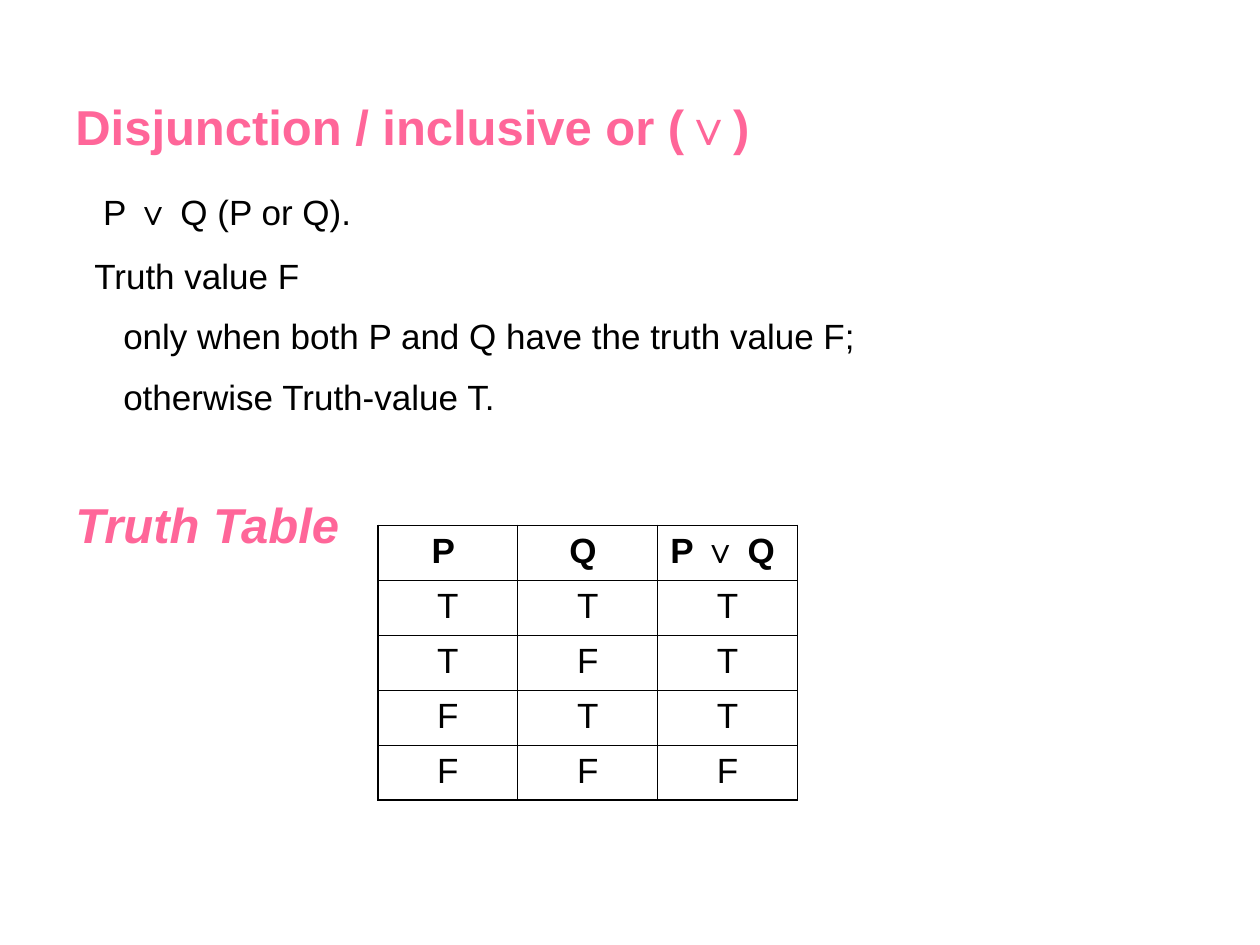
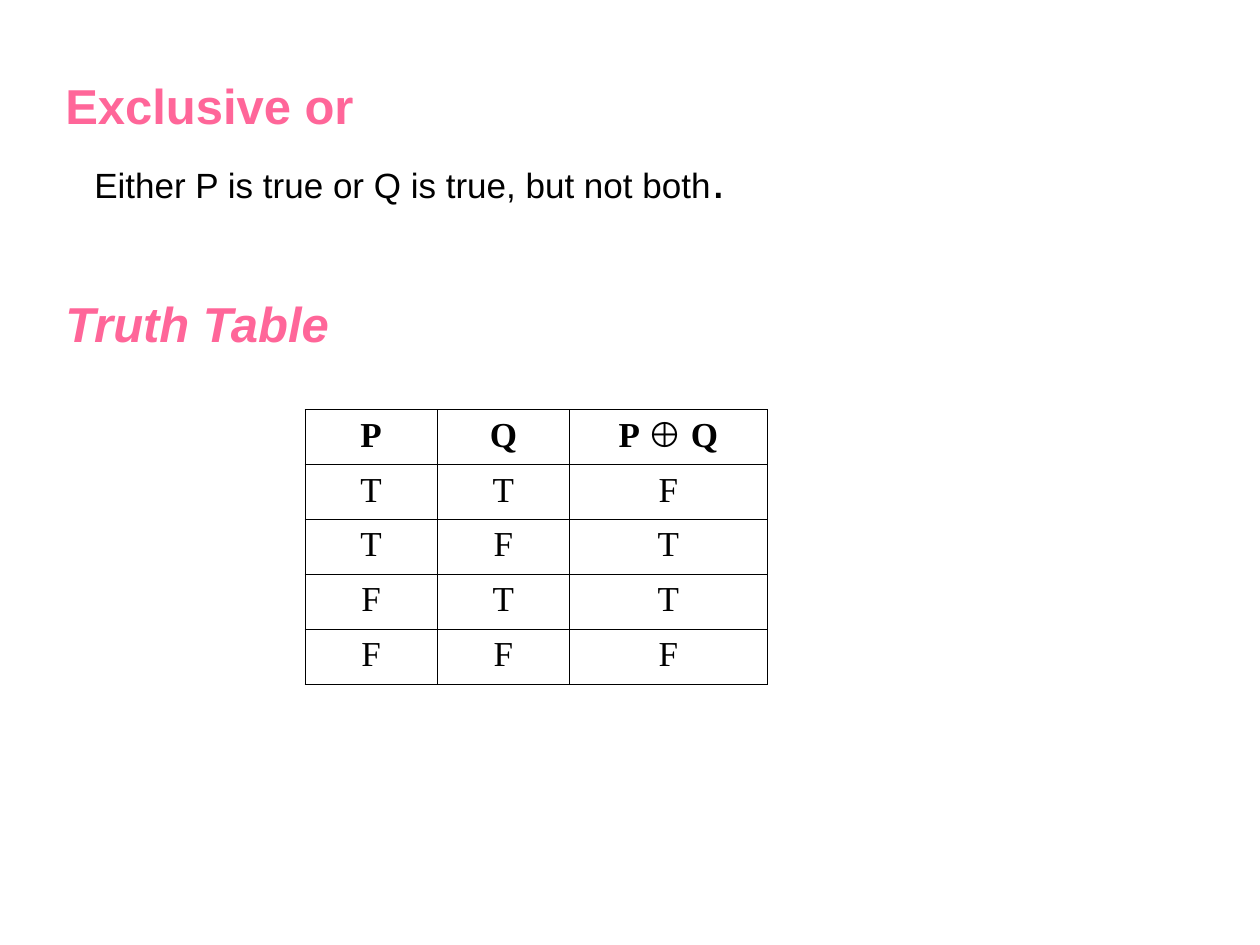
from lxml import etree
from pptx import Presentation
from pptx import util as u
from pptx.dml.color import RGBColor
from pptx.enum import text
from pptx.oxml.ns import qn

PINK, BLACK = "FF6699", "000000"
SANS, SERIF = "Arial", "Times New Roman"
HEAD, BODY = 28, 20
THIN, THICK = 0.45, 1.08


def color(value):
    return RGBColor.from_string(value)


class Deck:
    def __init__(self):
        self.prs = Presentation()
        self.prs.slide_width, self.prs.slide_height = u.Inches(10), u.Inches(7.5)
        self.s = None

    def slide(self):
        self.s = self.prs.slides.add_slide(self.prs.slide_layouts[6])

    def style(self, r, size=BODY, fill=BLACK, font=SANS, bold=False, italic=False):
        f = r.font
        f.name, f.size, f.bold, f.italic = font, u.Pt(size), bold, italic
        f.color.rgb = color(fill)

    def text_box(self, left, top, width, height):
        tf = self.s.shapes.add_textbox(*map(u.Inches, (left, top, width, height))).text_frame
        tf.word_wrap = True
        tf.margin_top = u.Inches(0.1)
        return tf

    def paragraph(self, tf, words, before):
        p = tf.add_paragraph() if tf.text else tf.paragraphs[0]
        p.text = words
        p.space_before = u.Pt(before)
        return p

    def heading(self, tf, words, before=0, italic=False):
        p = self.paragraph(tf, words, before)
        self.style(p.runs[0], HEAD, PINK, bold=True, italic=italic)

    def line(self, tf, words, indent, before, spacing=1.2):
        """Add a body line, indented by a length in inches."""
        p = self.paragraph(tf, words, before)
        p.line_spacing = spacing
        p._p.get_or_add_pPr().set("marL", str(u.Inches(indent)))
        self.style(p.runs[0])
        return p

    def border(self, cell, side, width):
        ln = etree.SubElement(cell._tc.get_or_add_tcPr(), qn("a:ln" + side), w=str(u.Pt(width)))
        fill = etree.SubElement(ln, qn("a:solidFill"))
        etree.SubElement(fill, qn("a:srgbClr"), val=BLACK)

    def truth_table(self, left, top, widths, head, results, font=SANS, frame=THIN):
        """Draw a table of P, Q and the result for each pair of truth values."""
        rows = [head] + [(a, b, c) for (a, b), c in zip(("TT", "TF", "FT", "FF"), results)]
        last_row, last_col = len(rows) - 1, len(widths) - 1
        table = self.s.shapes.add_table(
            len(rows), len(widths), u.Inches(left), u.Inches(top),
            u.Inches(sum(widths)), u.Inches(2.18)).table
        table.first_row = table.horz_banding = False
        for col, width in zip(table.columns, widths):
            col.width = u.Inches(width)
        for i, row in enumerate(rows):
            for j, words in enumerate(row):
                cell = table.cell(i, j)
                outer = {"L": j == 0, "R": j == last_col, "T": i == 0, "B": i == last_row}
                for side, is_outer in outer.items():
                    self.border(cell, side, frame if is_outer else THIN)
                cell.fill.background()
                p = cell.text_frame.paragraphs[0]
                p.alignment = text.PP_ALIGN.CENTER
                for part in words.partition("⊕"):
                    if part:
                        r = p.add_run()
                        r.text = part
                        self.style(r, font=SANS if part == "⊕" else font, bold=i == 0)


def disjunction(deck):
    deck.slide()
    tf = deck.text_box(0.5, 0.67, 9.25, 6.03)
    deck.heading(tf, "Disjunction / inclusive or (∨)")
    deck.line(tf, "P ∨ Q (P or Q).", 0.22, 15)
    deck.line(tf, "Truth value F", 0.15, 7.5)
    deck.line(tf, "only when both P and Q have the truth value F;", 0.38, 6)
    deck.line(tf, "otherwise Truth-value T.", 0.38, 6)
    deck.heading(tf, "Truth Table", 44, italic=True)
    deck.truth_table(3, 4.17, [1.11] * 3, ("P ", "Q ", "P ∨ Q "), "TTTF", frame=THICK)


def exclusive_or(deck):
    deck.slide()
    tf = deck.text_box(0.42, 0.5, 9, 6.25)
    deck.heading(tf, "Exclusive or")
    p = deck.line(tf, "Either P is true or Q is true, but not both", 0.23, 8.4, spacing=1)
    r = p.add_run()
    r.text = "."
    deck.style(r, HEAD)
    deck.heading(tf, "Truth Table", 49, italic=True)
    deck.truth_table(2.42, 3.25, [1.05, 1.05, 1.57], ("P", "Q", "P ⊕ Q"), "FTTF", font=SERIF)


def main():
    deck = Deck()
    disjunction(deck)
    exclusive_or(deck)
    deck.prs.save("out.pptx")


if __name__ == "__main__":
    main()
